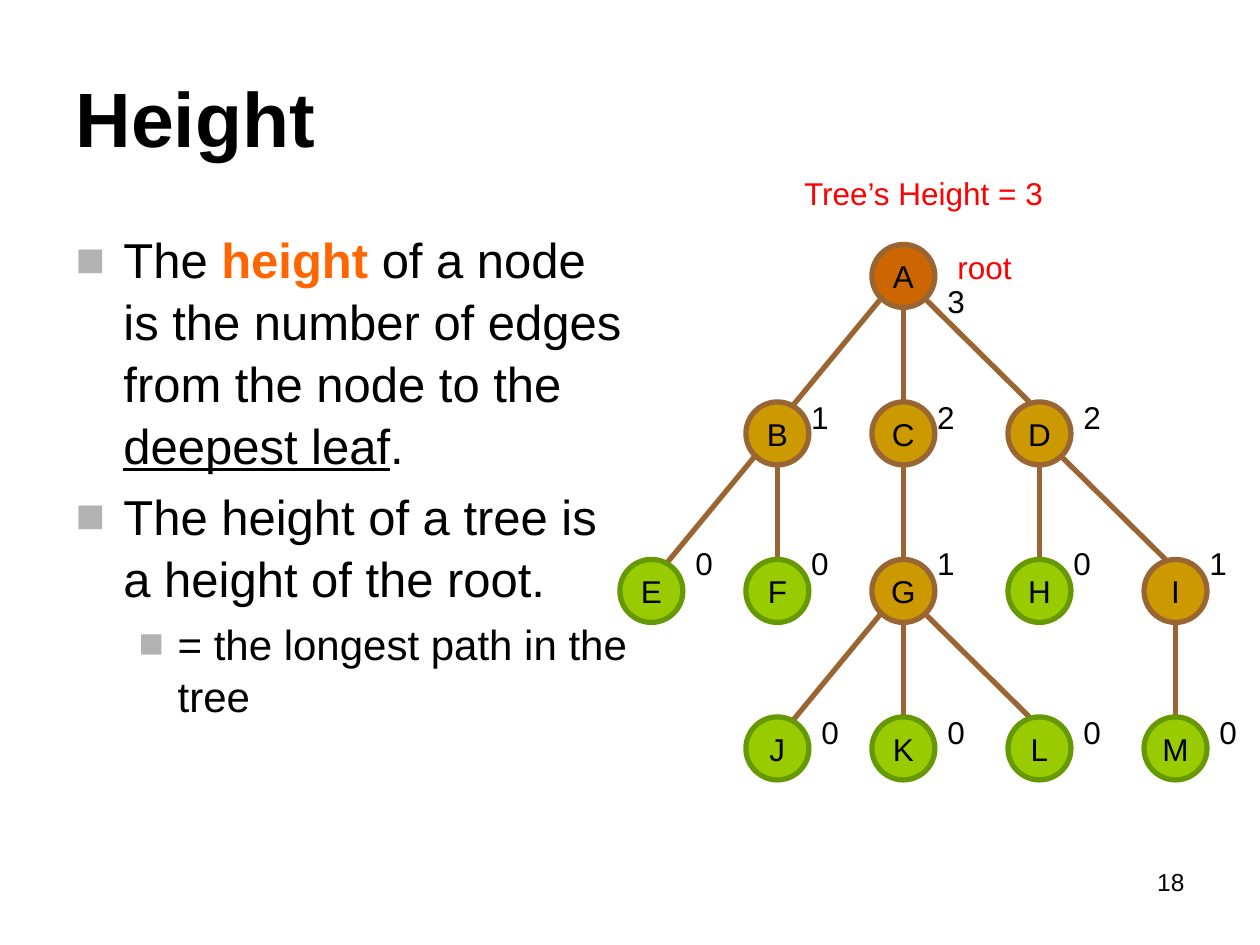
from lxml import etree
from pptx import Presentation
from pptx.dml.color import RGBColor
from pptx.enum.shapes import MSO_CONNECTOR, MSO_SHAPE
from pptx.enum.text import MSO_ANCHOR, MSO_AUTO_SIZE, PP_ALIGN
from pptx.oxml.ns import qn
from pptx.util import Inches, Pt

LEFT, CENTER, RIGHT = PP_ALIGN.LEFT, PP_ALIGN.CENTER, PP_ALIGN.RIGHT
TOP, MIDDLE = MSO_ANCHOR.TOP, MSO_ANCHOR.MIDDLE
NO_AUTOFIT = MSO_AUTO_SIZE.NONE
OVAL = MSO_SHAPE.OVAL
STRAIGHT = MSO_CONNECTOR.STRAIGHT

COLORS = {
    "text": "000000", "accent": "FF6600", "note": "FF0000", "bullet": "B2B2B2",
    "edge": "996633", "leaf_edge": "669900",
    "root": "CC6600", "inner": "CC9900", "leaf": "99CC00",
}
COLUMNS = [5.17, 6.17, 7.17, 8.25, 9.33]
FIRST_ROW, ROW_STEP = 2.19, 1.25
DIAMETER = 0.5
RADIUS = DIAMETER / 2
LABEL_TOPS = [2.19, 3.11, 4.27, 5.61]
NEAR, FAR = 0.17, 0.25

# name: column, row, parent, height, label offset
NODES = {
    "A": (2, 0, None, 3, FAR),
    "B": (1, 1, "A", 1, NEAR),
    "C": (2, 1, "A", 2, NEAR),
    "D": (3, 1, "A", 2, FAR),
    "E": (0, 2, "B", 0, FAR),
    "F": (1, 2, "B", 0, NEAR),
    "G": (2, 2, "C", 1, NEAR),
    "H": (3, 2, "D", 0, NEAR),
    "I": (4, 2, "D", 1, NEAR),
    "J": (1, 3, "G", 0, FAR),
    "K": (2, 3, "G", 0, FAR),
    "L": (3, 3, "G", 0, FAR),
    "M": (4, 3, "I", 0, FAR),
}
# side of child: offset from parent centre, offset from child centre
EDGE_OFFSETS = {
    -1: ((-0.17, 0.17), (0.08, -0.17)),
    0: ((0, RADIUS), (0, -RADIUS)),
    1: ((0.16, 0.17), (-0.08, -RADIUS)),
}
BODY = [
    (0, 28, 0.38, 0.38, [
        ("The ", {}),
        ("height", {"bold": True, "color": "accent"}),
        (" of a node is the number of edges from the node to the ", {}),
        ("deepest leaf", {"underline": True}),
        (".", {}),
    ]),
    (0, 28, 0.38, 0.38, [("The height of a tree is a height of the root.", {})]),
    (1, 24, 0.81, 0.31, [("= the longest path in the tree", {})]),
]


def rgb(name):
    return RGBColor.from_string(COLORS[name])


def add_run(paragraph, text, size=18, color="text", **extra):
    run = paragraph.add_run()
    run.text = text
    values = {"name": "Arial", "size": Pt(size), **extra}
    for attribute, value in values.items():
        setattr(run.font, attribute, value)
    run.font.color.rgb = rgb(color)


def place(shape, *box):
    for attribute, value in zip(("left", "top", "width", "height"), box):
        setattr(shape, attribute, Inches(value))


def format_frame(frame, anchor=TOP, wrap=True):
    values = {"word_wrap": wrap, "auto_size": NO_AUTOFIT, "vertical_anchor": anchor}
    for attribute, value in values.items():
        setattr(frame, attribute, value)


def add_label(slide, text, box, align=LEFT, **style):
    shape = slide.shapes.add_textbox(*map(Inches, box))
    format_frame(shape.text_frame)
    paragraph = shape.text_frame.paragraphs[0]
    paragraph.alignment = align
    add_run(paragraph, text, **style)


def add_bullet(paragraph, margin, hanging):
    properties = paragraph._p.get_or_add_pPr()
    properties.set("marL", str(Inches(margin)))
    properties.set("indent", str(-Inches(hanging)))
    color = etree.SubElement(properties, qn("a:buClr"))
    etree.SubElement(color, qn("a:srgbClr"), val=COLORS["bullet"])
    etree.SubElement(properties, qn("a:buFont"), typeface="Arial")
    etree.SubElement(properties, qn("a:buChar"), char="■")


def fill_title(slide):
    title = slide.shapes.title
    place(title, 0.5, 0.3, 9, 1.25)
    format_frame(title.text_frame, MIDDLE)
    paragraph = title.text_frame.paragraphs[0]
    paragraph.alignment = LEFT
    add_run(paragraph, "Height", 44, bold=True)


def fill_body(slide):
    body = slide.placeholders[1]
    place(body, 0.5, 1.75, 4.58, 4.95)
    frame = body.text_frame
    format_frame(frame)
    for index, (level, size, margin, hanging, runs) in enumerate(BODY):
        paragraph = frame.add_paragraph() if index else frame.paragraphs[0]
        add_bullet(paragraph, margin, hanging)
        values = {
            "level": level, "alignment": LEFT, "line_spacing": 1.05,
            "space_before": Pt(size * 0.2 if index else 0),
        }
        for attribute, value in values.items():
            setattr(paragraph, attribute, value)
        for text, style in runs:
            add_run(paragraph, text, size, **style)


def node_center(name):
    column, row = NODES[name][:2]
    return COLUMNS[column], FIRST_ROW + row * ROW_STEP


def add_edge(slide, parent, child):
    parent_x, parent_y = node_center(parent)
    child_x, child_y = node_center(child)
    side = (child_x > parent_x) - (child_x < parent_x)
    (start_x, start_y), (end_x, end_y) = EDGE_OFFSETS[side]
    points = (child_x + end_x, child_y + end_y, parent_x + start_x, parent_y + start_y)
    edge = slide.shapes.add_connector(STRAIGHT, *map(Inches, points))
    edge.line.color.rgb = rgb("edge")
    edge.line.width = Pt(3)
    etree.SubElement(edge._element.spPr, qn("a:effectLst"))


def add_node(slide, name):
    x, y = node_center(name)
    parent, height = NODES[name][2:4]
    kind = "root" if parent is None else "inner" if height else "leaf"
    box = (x - RADIUS, y - RADIUS, DIAMETER, DIAMETER)
    node = slide.shapes.add_shape(OVAL, *map(Inches, box))
    node.shadow.inherit = False
    node.fill.solid()
    node.fill.fore_color.rgb = rgb(kind)
    node.line.color.rgb = rgb("edge" if height else "leaf_edge")
    node.line.width = Pt(3)
    format_frame(node.text_frame, MIDDLE, False)
    paragraph = node.text_frame.paragraphs[0]
    paragraph.alignment = CENTER
    add_run(paragraph, name)


def add_tree(slide):
    for name, (_, _, parent, _, _) in NODES.items():
        if parent:
            add_edge(slide, parent, name)
    for name in NODES:
        add_node(slide, name)
    for column, row, _, height, offset in NODES.values():
        box = (COLUMNS[column] + offset, LABEL_TOPS[row], 0.33, 0.4)
        add_label(slide, str(height), box)


def main():
    presentation = Presentation()
    presentation.slide_width = Inches(10)
    presentation.slide_height = Inches(7.5)
    slide = presentation.slides.add_slide(presentation.slide_layouts[1])
    fill_title(slide)
    fill_body(slide)
    add_tree(slide)
    add_label(slide, "root", (7.5, 1.92, 1.58, 0.4), color="note")
    add_label(slide, "Tree’s Height = 3", (6.08, 1.33, 2.5, 0.4), CENTER, color="note")
    add_label(slide, "18", (7.17, 6.83, 2.33, 0.52), RIGHT, size=14)
    presentation.save("out.pptx")


if __name__ == "__main__":
    main()
